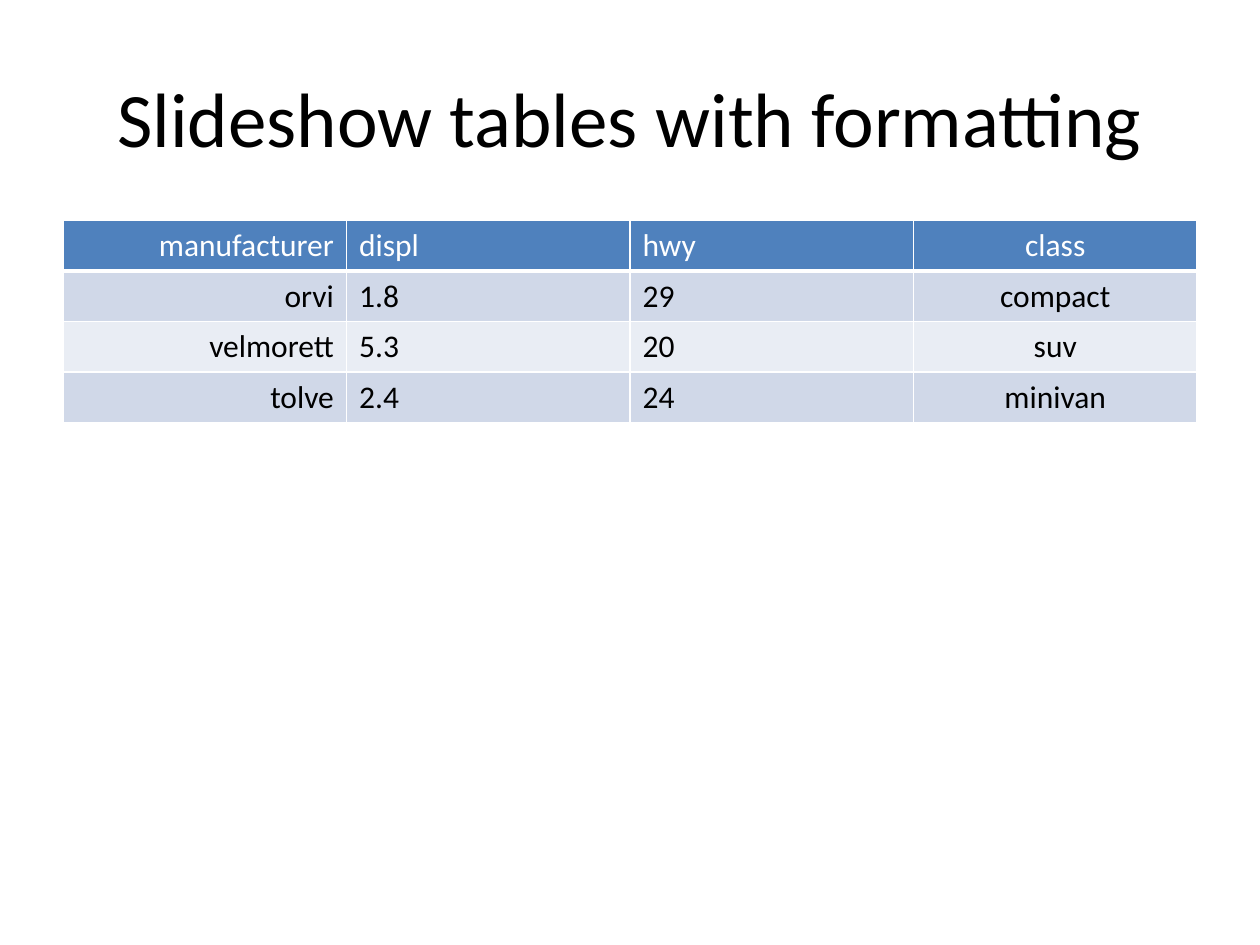
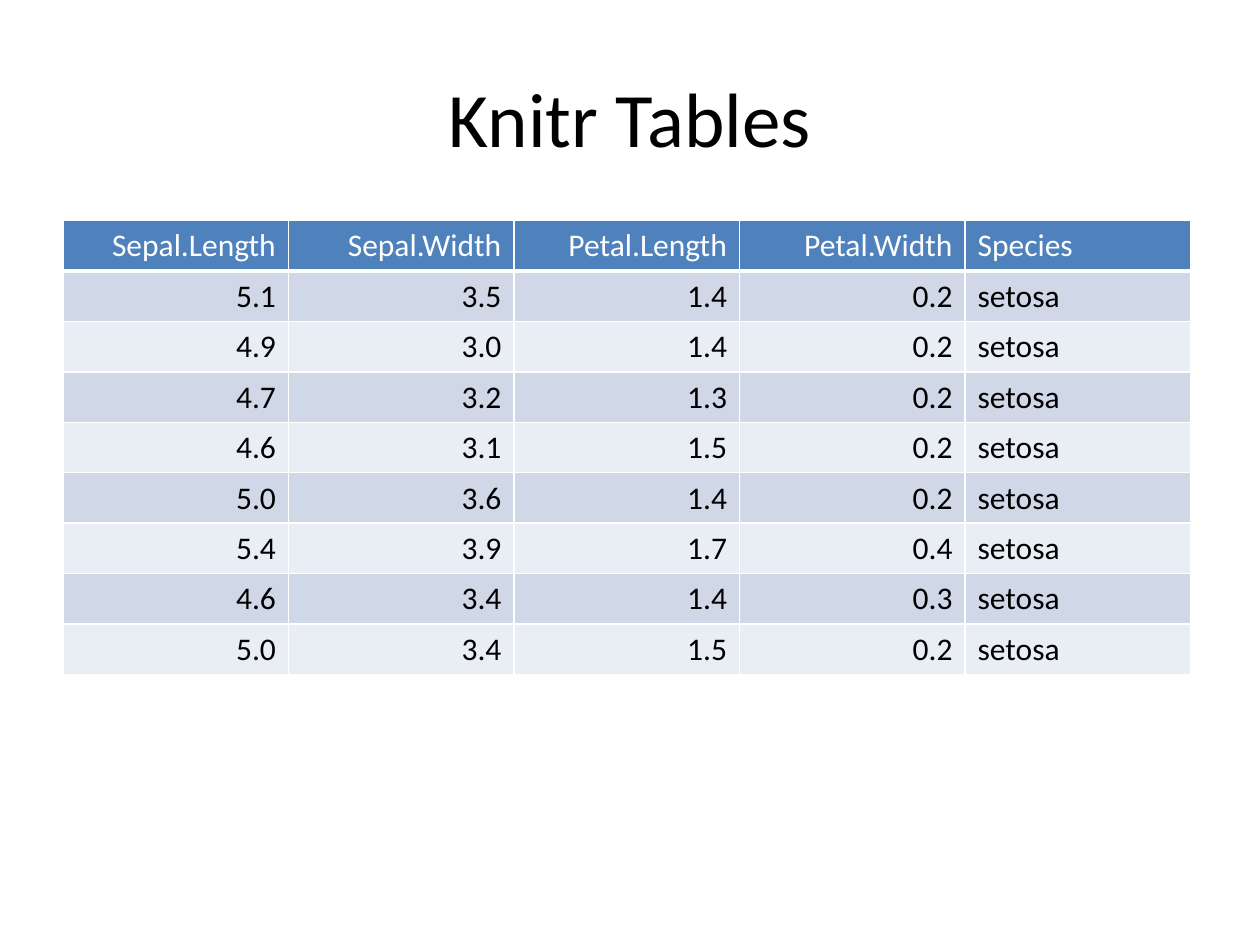
from lxml import etree
from pptx import Presentation
from pptx import util as u
from pptx.dml.color import RGBColor
from pptx.enum import text
from pptx.oxml import ns

FONT = "Calibri"
BLACK = RGBColor(0x00, 0x00, 0x00)
WHITE = RGBColor(0xFF, 0xFF, 0xFF)
HEADER_BLUE = RGBColor(0x4F, 0x81, 0xBD)
BANDS = (RGBColor(0xD0, 0xD8, 0xE8), RGBColor(0xE9, 0xED, 0xF4))

LEFT = text.PP_ALIGN.LEFT
CENTER = text.PP_ALIGN.CENTER
RIGHT = text.PP_ALIGN.RIGHT

MARGIN = u.Inches(0.5)
TABLE_TOP = u.Inches(1.75)
ROW_HEIGHT = u.Inches(0.4)

CARS = [
    ("manufacturer", "displ", "hwy", "class"),
    ("orvi", "1.8", "29", "compact"),
    ("velmorett", "5.3", "20", "suv"),
    ("tolve", "2.4", "24", "minivan"),
]

IRISES = [
    ("Sepal.Length", "Sepal.Width", "Petal.Length", "Petal.Width", "Species"),
    ("5.1", "3.5", "1.4", "0.2", "setosa"),
    ("4.9", "3.0", "1.4", "0.2", "setosa"),
    ("4.7", "3.2", "1.3", "0.2", "setosa"),
    ("4.6", "3.1", "1.5", "0.2", "setosa"),
    ("5.0", "3.6", "1.4", "0.2", "setosa"),
    ("5.4", "3.9", "1.7", "0.4", "setosa"),
    ("4.6", "3.4", "1.4", "0.3", "setosa"),
    ("5.0", "3.4", "1.5", "0.2", "setosa"),
]


def write_text(frame, words, *, size=18, color=BLACK, align=LEFT):
    para = frame.paragraphs[0]
    para.alignment = align
    span = para.add_run()
    span.text = words
    span.font.name = FONT
    span.font.size = u.Pt(size)
    span.font.bold = False
    span.font.color.rgb = color


def add_title(page, words):
    box = page.shapes.add_textbox(MARGIN, u.Inches(0.3), u.Inches(9), u.Inches(1.25))
    frame = box.text_frame
    frame.word_wrap = True
    frame.vertical_anchor = text.MSO_ANCHOR.MIDDLE
    write_text(frame, words, size=44, align=CENTER)


def set_borders(cell, bottom):
    properties = cell._tc.get_or_add_tcPr()
    for side, width in (("L", 1), ("R", 1), ("T", 1), ("B", bottom)):
        line = etree.SubElement(properties, ns.qn(f"a:ln{side}"), w=str(u.Pt(width)))
        fill = etree.SubElement(line, ns.qn("a:solidFill"))
        etree.SubElement(fill, ns.qn("a:srgbClr"), val=str(WHITE))


def format_cell(cell, words, row_index, align):
    is_header = row_index == 0
    set_borders(cell, bottom=3 if is_header else 1)
    cell.fill.solid()
    cell.fill.fore_color.rgb = HEADER_BLUE if is_header else BANDS[(row_index - 1) % 2]
    write_text(cell.text_frame, words, color=WHITE if is_header else BLACK, align=align)


def add_data_table(page, rows, alignments, column_width):
    count = len(alignments)
    table = page.shapes.add_table(
        len(rows), count, MARGIN, TABLE_TOP, column_width * count, ROW_HEIGHT * len(rows)
    ).table
    for row_index, row in enumerate(rows):
        for column_index, (words, align) in enumerate(zip(row, alignments)):
            format_cell(table.cell(row_index, column_index), words, row_index, align)


def add_table_page(deck, title, rows, alignments, column_width):
    page = deck.slides.add_slide(deck.slide_layouts[6])
    add_title(page, title)
    add_data_table(page, rows, alignments, column_width)


def main():
    deck = Presentation()
    deck.slide_width = u.Inches(10)
    deck.slide_height = u.Inches(7.5)
    add_table_page(deck, "Slideshow tables with formatting", CARS,
                   (RIGHT, LEFT, LEFT, CENTER), u.Inches(2.25))
    add_table_page(deck, "Knitr Tables", IRISES,
                   (RIGHT, RIGHT, RIGHT, RIGHT, LEFT), u.Inches(1.79))
    deck.save("out.pptx")


if __name__ == "__main__":
    main()
